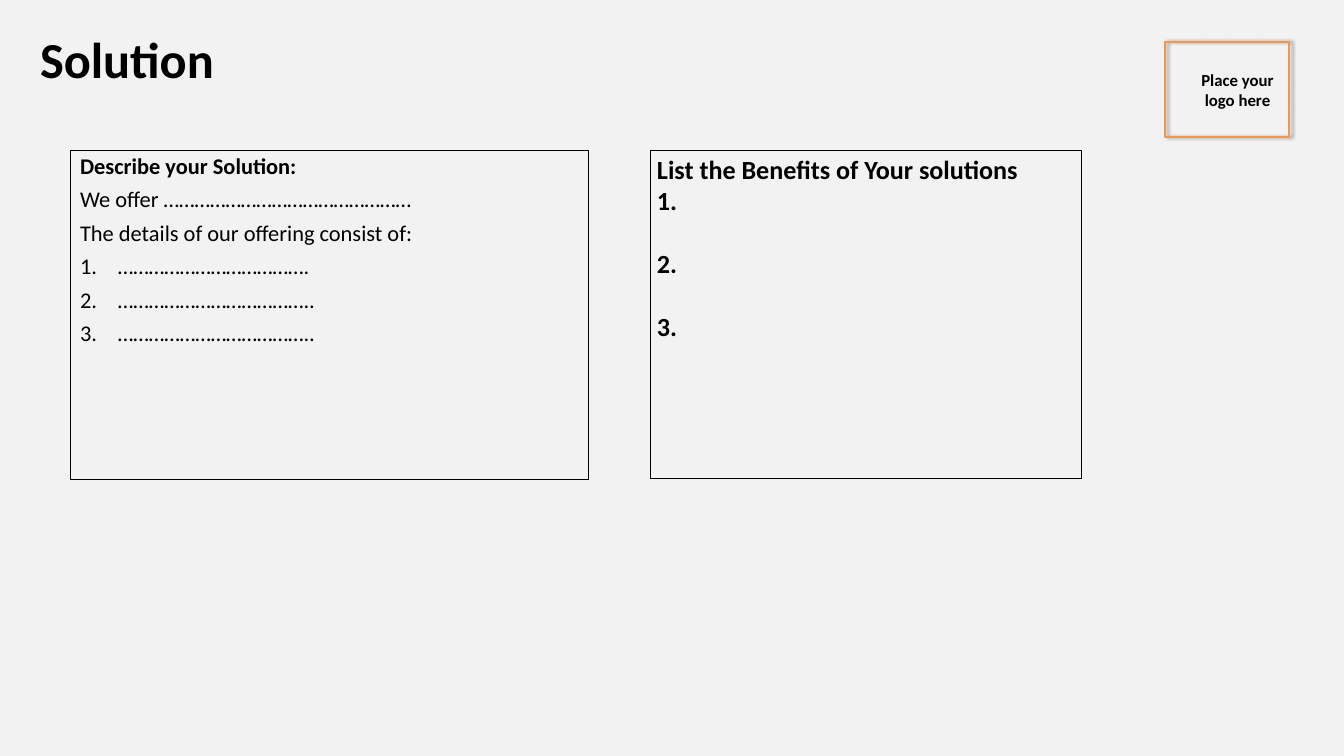
"""Build the Solution slide with a description, a benefits list and a logo space."""
import pptx
import pptx.dml.color
import pptx.enum.shapes
import pptx.enum.text
import pptx.oxml
import pptx.oxml.ns
import pptx.util

EMU_PER_PX = 914400 / 67.2
SLIDE_SIZE = (1344, 756)
FONT = "Calibri"
COLORS = {"background": "F2F2F2", "ink": "000000", "logo": "F79646"}

TITLE = "Solution"
DESCRIPTION = ["Describe your Solution:",
               "We offer …………………………………………",
               "The details of our offering consist of:"]
DETAILS = ["……………………………….", "………………………………..", "……………………………….."]
BENEFITS = ["List the Benefits of Your solutions", "1.", "2.", "3."]
LOGO_NOTE = "Place your logo here"

BOXES = {
    "title": (30, 2, 834, 87),
    "description": (70, 150, 518, 329),
    "logo note": (1185, 67, 105, 46),
    "logo frame": (1165, 42, 124, 95),
    "benefits": (650, 150, 431, 328),
}
WIDE_INSETS = (10, 5)
DEFAULT_INSETS = (7, 3)
NUMBER_INDENT = 38


def px(length):
    return pptx.util.Emu(round(length * EMU_PER_PX))


def rgb(name):
    return pptx.dml.color.RGBColor.from_string(COLORS[name])


def add_frame(slide, name, color, width):
    shape = slide.shapes.add_shape(
        pptx.enum.shapes.MSO_SHAPE.RECTANGLE, *map(px, BOXES[name]))
    shape.fill.background()
    shape.line.color.rgb = rgb(color)
    shape.line.width = pptx.util.Pt(width)
    shape.shadow.inherit = False
    return shape


def write(shape, lines, size, insets=DEFAULT_INSETS, bold=True,
          align=pptx.enum.text.PP_ALIGN.LEFT):
    frame = shape.text_frame
    frame.text = "\n".join(lines)
    frame.word_wrap = True
    frame.vertical_anchor = pptx.enum.text.MSO_ANCHOR.TOP
    frame.margin_left = frame.margin_right = px(insets[0])
    frame.margin_top = frame.margin_bottom = px(insets[1])
    for paragraph in frame.paragraphs:
        paragraph.alignment = align
        for run in paragraph.runs:
            run.font.name = FONT
            run.font.size = pptx.util.Pt(size)
            run.font.bold = bold
            run.font.color.rgb = rgb("ink")
    return frame.paragraphs


def number(paragraph):
    properties = paragraph._p.get_or_add_pPr()
    properties.set("marL", str(px(NUMBER_INDENT)))
    properties.set("indent", str(-px(NUMBER_INDENT)))
    for tag, attribute, value in (("a:buFont", "typeface", FONT),
                                  ("a:buAutoNum", "type", "arabicPeriod")):
        bullet = pptx.oxml.parse_xml(f"<{tag} {pptx.oxml.ns.nsdecls('a')}/>")
        bullet.set(attribute, value)
        properties.append(bullet)


def add_shadow(shape):
    effects = shape._element.spPr.find(pptx.oxml.ns.qn("a:effectLst"))
    effects.append(pptx.oxml.parse_xml(
        f'<a:outerShdw {pptx.oxml.ns.nsdecls("a")} blurRad="{pptx.util.Pt(4)}" '
        f'dist="{pptx.util.Pt(3)}" dir="0" algn="l" rotWithShape="0">'
        f'<a:srgbClr val="{COLORS["ink"]}"><a:alpha val="40000"/></a:srgbClr>'
        '</a:outerShdw>'))


def main():
    presentation = pptx.Presentation()
    presentation.slide_width, presentation.slide_height = map(px, SLIDE_SIZE)
    slide = presentation.slides.add_slide(presentation.slide_layouts[6])
    slide.background.fill.solid()
    slide.background.fill.fore_color.rgb = rgb("background")

    title = slide.shapes.add_textbox(*map(px, BOXES["title"]))
    write(title, [TITLE], 54, WIDE_INSETS)[0].line_spacing = pptx.util.Pt(87.5)

    description = add_frame(slide, "description", "ink", 0.75)
    paragraphs = write(description, DESCRIPTION + DETAILS, 24, WIDE_INSETS, bold=False)
    paragraphs[0].runs[0].font.bold = True
    for paragraph in paragraphs:
        paragraph.line_spacing = 0.9
        paragraph.space_before = pptx.util.Pt(10)
    for paragraph in paragraphs[len(DESCRIPTION):]:
        number(paragraph)

    note = slide.shapes.add_textbox(*map(px, BOXES["logo note"]))
    write(note, [LOGO_NOTE], 18, (5, 3), align=pptx.enum.text.PP_ALIGN.CENTER)
    add_shadow(add_frame(slide, "logo frame", "logo", 2))

    benefits = add_frame(slide, "benefits", "ink", 0.75)
    for paragraph in write(benefits, BENEFITS, 28)[2:]:
        paragraph.space_before = pptx.util.Pt(34)

    presentation.save("out.pptx")


if __name__ == "__main__":
    main()
